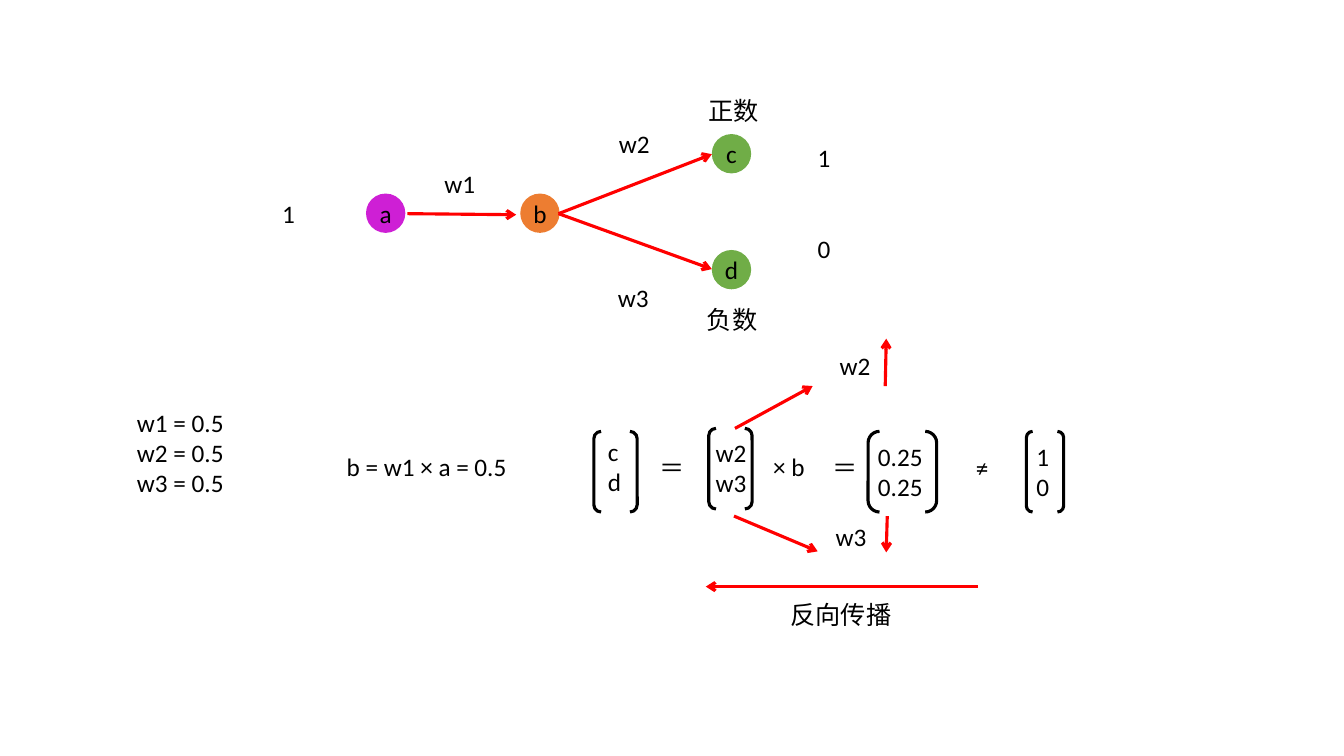
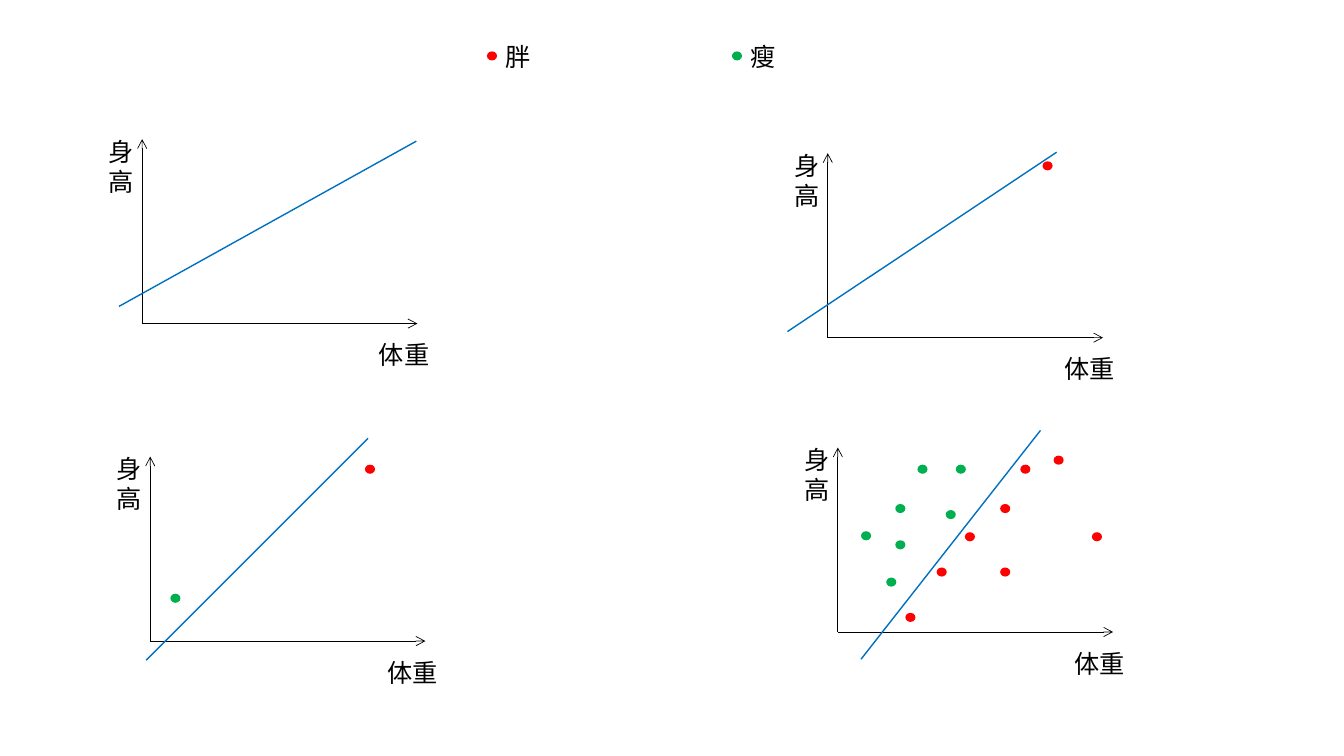
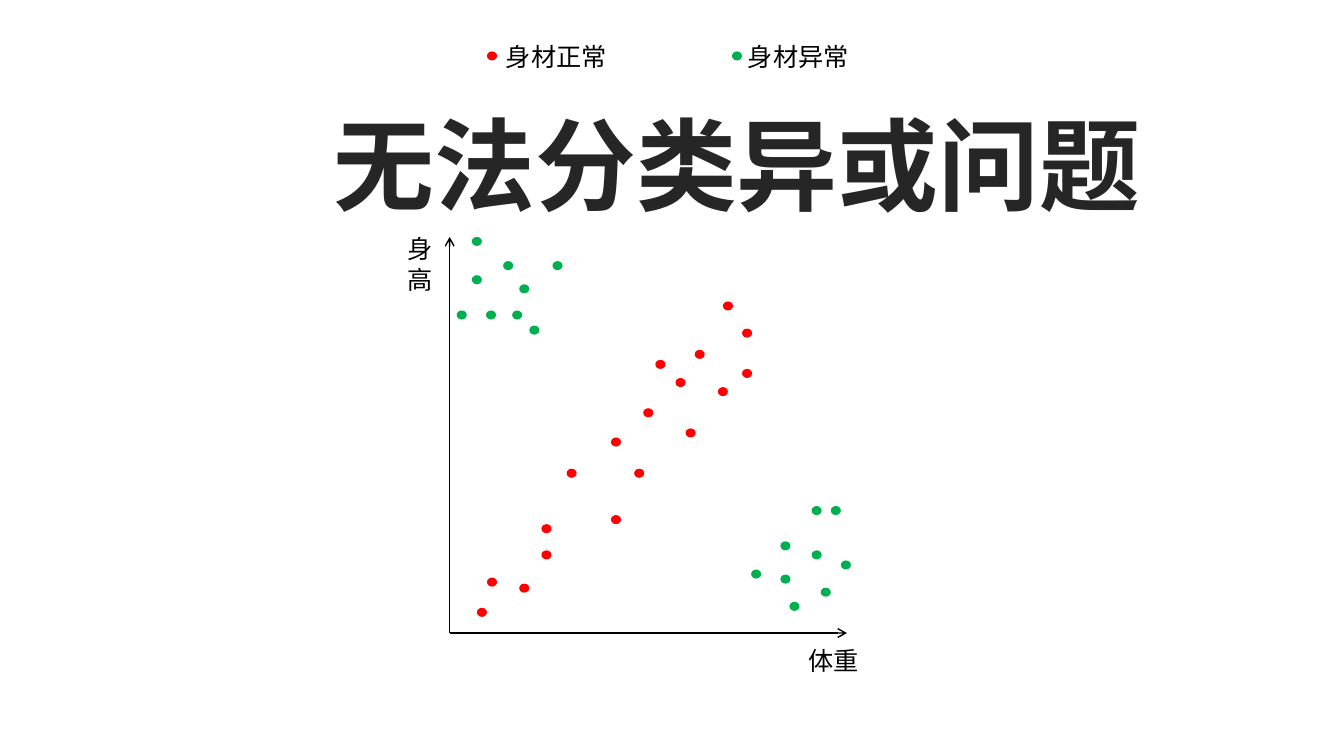
from dataclasses import dataclass
from typing import Iterable

from lxml.etree import SubElement
from pptx import Presentation
from pptx.dml.color import RGBColor
from pptx.enum.shapes import MSO_CONNECTOR, MSO_SHAPE
from pptx.enum.text import MSO_ANCHOR, MSO_AUTO_SIZE, PP_ALIGN
from pptx.oxml import parse_xml
from pptx.oxml.ns import nsdecls, qn
from pptx.shapes.autoshape import Shape
from pptx.slide import Slide
from pptx.util import Inches, Pt

FONT = "Calibri"
BLACK, RED, GREEN, BLUE = "000000", "FF0000", "00B050", "0070C0"
PURPLE, ORANGE, LEAF, CHARCOAL, WHITE = "CE1FD5", "ED7D31", "70AD47", "262626", "FFFFFF"
NODE_SIZE, BRACKET_HEIGHT = 0.39, 0.8
DOT_WIDTH, DOT_HEIGHT = 0.1, 0.09
LINE_HEIGHT = 0.31

Point = tuple[float, float]


@dataclass(frozen=True)
class Label:
    """A text box; each line of text is a paragraph."""
    text: str
    left: float
    top: float
    width: float
    size: float = 18
    color: str = BLACK
    bold: bool = False
    align: PP_ALIGN = PP_ALIGN.LEFT
    wrap: bool = True


@dataclass(frozen=True)
class Line:
    """A straight line, with an arrowhead at its end if asked."""
    start: Point
    end: Point
    color: str = RED
    weight: float = 2.25
    arrow: bool = True


@dataclass(frozen=True)
class Node:
    """A named circle of the network."""
    name: str
    left: float
    top: float
    color: str


@dataclass(frozen=True)
class Bracket:
    """A pair of brackets around a vector."""
    left: float
    top: float
    width: float


@dataclass(frozen=True)
class Axes:
    """Height and weight axes that meet at an origin."""
    origin: Point
    width: float = 2.73
    height: float = 1.83
    weight: float = 0.5
    height_gap: float = 0.43
    height_width: float = 0.38
    weight_drop: float = 0.11


def rgb(color: str) -> RGBColor:
    """Turn a hex string into a colour."""
    return RGBColor.from_string(color)


def draw_label(slide: Slide, label: Label) -> Shape:
    """Draw a text box."""
    lines = label.text.split("\n")
    box = slide.shapes.add_textbox(
        Inches(label.left), Inches(label.top), Inches(label.width),
        Inches(0.1 + LINE_HEIGHT * len(lines) * label.size / 18))
    frame = box.text_frame
    frame.word_wrap = label.wrap
    frame.auto_size = MSO_AUTO_SIZE.SHAPE_TO_FIT_TEXT
    frame.text = label.text
    for paragraph in frame.paragraphs:
        paragraph.alignment = label.align
        font = paragraph.font
        font.name, font.size, font.bold = FONT, Pt(label.size), label.bold
        font.color.rgb = rgb(label.color)
    return box


def draw_line(slide: Slide, line: Line) -> None:
    """Draw a line or an arrow."""
    connector = slide.shapes.add_connector(
        MSO_CONNECTOR.STRAIGHT, *(Inches(value) for value in line.start + line.end))
    connector.line.color.rgb = rgb(line.color)
    connector.line.width = Pt(line.weight)
    if line.arrow:
        SubElement(connector.line._get_or_add_ln(), qn("a:tailEnd"), type="arrow")
    SubElement(connector._element.spPr, qn("a:effectLst"))


def draw_filled(slide: Slide, preset: MSO_SHAPE, left: float, top: float,
                width: float, height: float, color: str) -> Shape:
    """Draw a filled shape with no outline."""
    shape = slide.shapes.add_shape(
        preset, Inches(left), Inches(top), Inches(width), Inches(height))
    shape.shadow.inherit = False
    shape.fill.solid()
    shape.fill.fore_color.rgb = rgb(color)
    shape.line.fill.background()
    return shape


def draw_node(slide: Slide, node: Node) -> None:
    """Draw a circle with its name inside."""
    shape = draw_filled(slide, MSO_SHAPE.FLOWCHART_CONNECTOR, node.left, node.top,
                        NODE_SIZE, NODE_SIZE, node.color)
    frame = shape.text_frame
    frame.margin_left = frame.margin_right = frame.margin_top = frame.margin_bottom = 0
    frame.vertical_anchor = MSO_ANCHOR.MIDDLE
    frame.text = node.name
    paragraph = frame.paragraphs[0]
    paragraph.alignment = PP_ALIGN.CENTER
    paragraph.font.name, paragraph.font.size = FONT, Pt(18)
    paragraph.font.color.rgb = rgb(BLACK)


def draw_bracket(slide: Slide, bracket: Bracket) -> None:
    """Draw a pair of brackets."""
    shape = slide.shapes.add_shape(
        MSO_SHAPE.DOUBLE_BRACKET, Inches(bracket.left), Inches(bracket.top),
        Inches(bracket.width), Inches(BRACKET_HEIGHT))
    shape.shadow.inherit = False
    shape.fill.background()
    shape.line.color.rgb = rgb(BLACK)
    shape.line.width = Pt(2.25)


def draw_dots(slide: Slide, color: str, points: Iterable[Point]) -> None:
    """Draw data points of one class."""
    for left, top in points:
        draw_filled(slide, MSO_SHAPE.OVAL, left, top, DOT_WIDTH, DOT_HEIGHT, color)


def draw_axes(slide: Slide, axes: Axes) -> None:
    """Draw both axes and their names."""
    left, bottom = axes.origin
    right, top = left + axes.width, bottom - axes.height
    for end in ((right, bottom), (left, top)):
        draw_line(slide, Line(axes.origin, end, BLACK, axes.weight))
    draw_label(slide, Label("身高", left - axes.height_gap, top - 0.08, axes.height_width))
    draw_label(slide, Label("体重", right - 0.48, bottom + axes.weight_drop, 0.89))


def draw_legend(slide: Slide, red_name: str, green_name: str, green_left: float) -> None:
    """Draw the key to the two classes."""
    draw_dots(slide, RED, [(4.83, 0.51)])
    draw_dots(slide, GREEN, [(7.26, 0.51)])
    draw_label(slide, Label(red_name, 4.92, 0.36, 1.3))
    draw_label(slide, Label(green_name, green_left, 0.36, 1.3))


def build_network(slide: Slide) -> None:
    """Build the network with its forward and backward pass."""
    for node in (
        Node("a", 3.63, 1.92, PURPLE),
        Node("b", 5.16, 1.92, ORANGE),
        Node("c", 7.06, 1.33, LEAF),
        Node("d", 7.06, 2.48, LEAF),
    ):
        draw_node(slide, node)
    for start, end in (
        ((4.04, 2.12), (5.12, 2.13)),
        ((5.54, 2.12), (7.06, 1.53)),
        ((5.54, 2.12), (7.06, 2.67)),
        ((7.29, 4.25), (8.06, 3.83)),
        ((7.28, 5.12), (8.11, 5.47)),
        ((8.78, 3.83), (8.79, 3.36)),
        ((8.8, 5.12), (8.79, 5.48)),
        ((9.7, 5.82), (7, 5.82)),
    ):
        draw_line(slide, Line(start, end))
    for bracket in (
        Bracket(5.89, 4.28, 0.43),
        Bracket(7.03, 4.25, 0.43),
        Bracket(8.61, 4.28, 0.68),
        Bracket(10.18, 4.28, 0.37),
    ):
        draw_bracket(slide, bracket)
    for label in (
        Label("1", 2.7, 1.92, 0.46),
        Label("w1", 4.31, 1.62, 0.54),
        Label("w2", 6.04, 1.22, 0.54),
        Label("w3", 6.03, 2.75, 0.54),
        Label("正数", 6.93, 0.9, 0.8),
        Label("负数", 6.67, 2.97, 1.18, align=PP_ALIGN.CENTER),
        Label("1", 8.01, 1.36, 0.39),
        Label("0", 8.01, 2.27, 0.39),
        Label("w1 = 0.5\nw2 = 0.5\nw3 = 0.5", 1.26, 3.99, 1.15),
        Label("b = w1 × a = 0.5", 3.34, 4.43, 2.09),
        Label("c\nd", 5.93, 4.28, 0.4),
        Label("＝", 6.44, 4.44, 0.36),
        Label("w2\nw3", 7, 4.29, 0.57),
        Label("× b", 7.57, 4.43, 0.66),
        Label("＝", 8.16, 4.44, 0.36),
        Label("0.25\n0.25", 8.61, 4.33, 0.67),
        Label("≠", 9.58, 4.44, 0.3),
        Label("1\n0", 10.18, 4.33, 0.37),
        Label("w2", 8.23, 3.43, 0.69),
        Label("w3", 8.19, 5.12, 0.55),
        Label("反向传播", 7.67, 5.9, 1.34, align=PP_ALIGN.CENTER),
    ):
        draw_label(slide, label)


def build_training(slide: Slide) -> None:
    """Build four plots in which the dividing line learns."""
    draw_legend(slide, "胖", "瘦", 7.35)
    for origin, start, end in (
        ((1.41, 3.21), (1.18, 3.04), (4.13, 1.4)),
        ((8.21, 3.35), (7.81, 3.29), (10.48, 1.51)),
        ((1.49, 6.36), (1.45, 6.55), (3.65, 4.35)),
        ((8.31, 6.27), (8.54, 6.54), (10.32, 4.27)),
    ):
        draw_axes(slide, Axes(origin))
        draw_line(slide, Line(start, end, BLUE, 1, arrow=False))
    draw_dots(slide, RED, [
        (10.34, 1.6), (3.62, 4.61), (10.45, 4.52), (9.92, 5), (9.57, 5.28),
        (10.12, 4.61), (10.83, 5.28), (8.98, 6.08), (9.29, 5.63), (9.92, 5.63)])
    draw_dots(slide, GREEN, [
        (1.69, 5.89), (8.88, 5), (8.54, 5.27), (9.38, 5.06), (8.79, 5.73),
        (9.48, 4.61), (9.1, 4.61), (8.88, 5.36)])


def build_xor(slide: Slide) -> None:
    """Build the plot that no single line can divide."""
    draw_legend(slide, "身材正常", "身材异常", 7.32)
    draw_axes(slide, Axes((4.46, 6.28), 3.94, 3.93, 1, 0.52, 0.3, 0.07))
    draw_dots(slide, RED, [
        (4.83, 5.73), (5.37, 5.2), (5.37, 5.46), (5.15, 5.79), (5.62, 4.65),
        (6.06, 4.34), (6.38, 4.05), (6.7, 3.75), (6.89, 3.47), (7.17, 2.99),
        (7.36, 3.26), (6.29, 4.65), (7.12, 3.84), (6.8, 4.25), (7.36, 3.66),
        (4.73, 6.03), (6.06, 5.11), (6.5, 3.57)])
    draw_dots(slide, GREEN, [
        (4.68, 2.35), (4.68, 2.73), (4.99, 2.59), (4.82, 3.08), (5.15, 2.82),
        (5.48, 2.59), (4.53, 3.08), (5.25, 3.23), (5.08, 3.08), (8.14, 5.83),
        (7.83, 5.97), (8.05, 5.46), (8.24, 5.02), (7.74, 5.7), (8.34, 5.56),
        (7.74, 5.37), (7.45, 5.65), (8.05, 5.02)])
    title = draw_label(slide, Label("无法分类异或问题", 3.21, 0.97, 8.2, 72, CHARCOAL,
                                    True, PP_ALIGN.CENTER, wrap=False))
    run = title.text_frame.paragraphs[0].runs[0]
    run.font.color.rgb = rgb(CHARCOAL)
    outline = parse_xml(
        f'<a:ln {nsdecls("a")} w="{Pt(1.06)}"><a:solidFill>'
        f'<a:srgbClr val="{WHITE}"/></a:solidFill></a:ln>')
    run.font._element.insert(0, outline)


def main() -> None:
    """Build and save the presentation."""
    presentation = Presentation()
    presentation.slide_width, presentation.slide_height = Inches(13.33), Inches(7.5)
    blank = presentation.slide_layouts[6]
    for build in (build_network, build_training, build_xor):
        build(presentation.slides.add_slide(blank))
    presentation.save("out.pptx")


if __name__ == "__main__":
    main()
